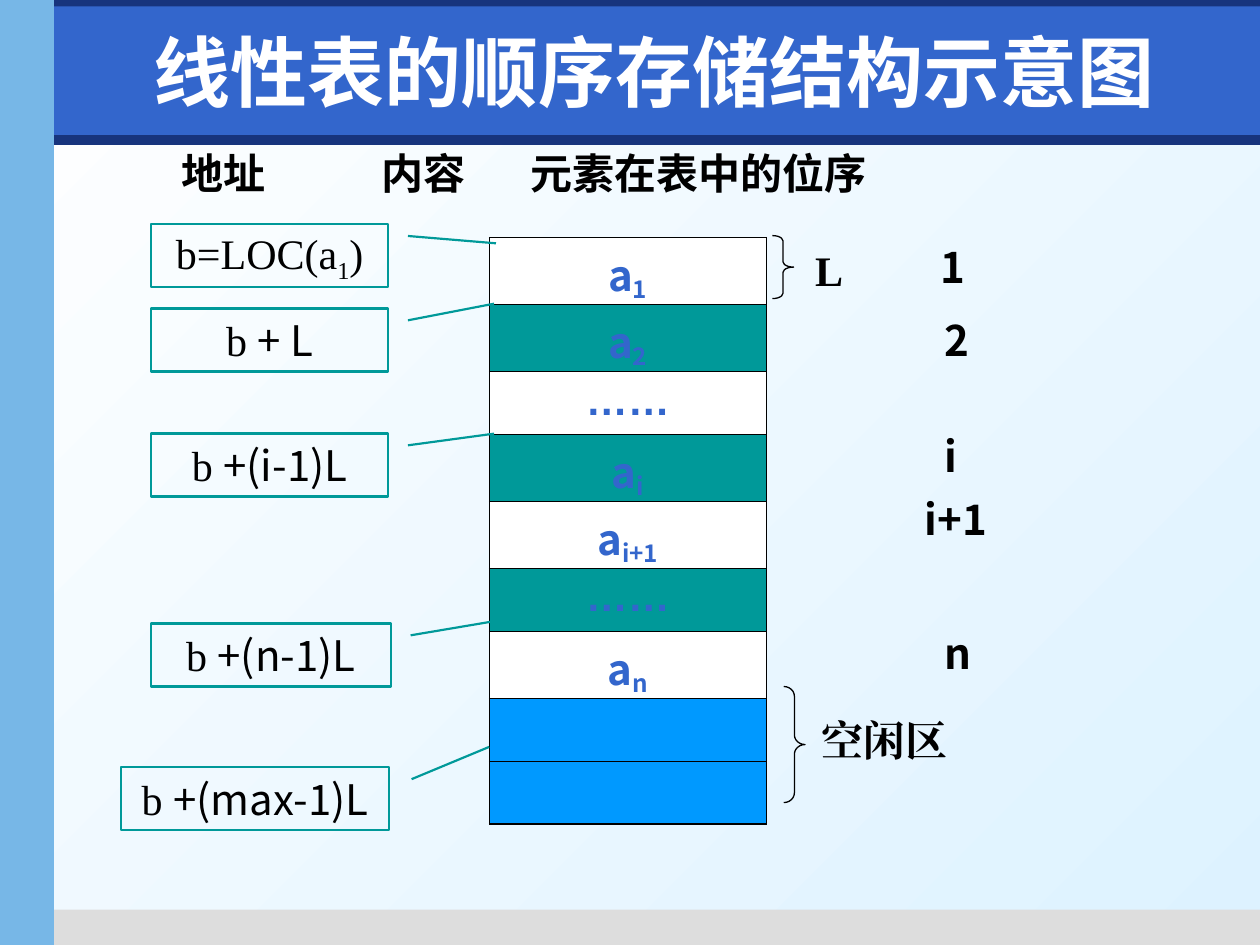
from lxml import etree
from pptx import Presentation
from pptx.dml.color import RGBColor
from pptx.enum.shapes import MSO_SHAPE
from pptx.enum.text import MSO_ANCHOR, PP_ALIGN
from pptx.oxml.ns import qn
from pptx.util import Cm, Pt

RECTANGLE = MSO_SHAPE.RECTANGLE
CALLOUT = MSO_SHAPE.LINE_CALLOUT_1
BRACE = MSO_SHAPE.RIGHT_BRACE
LEFT, CENTER = PP_ALIGN.LEFT, PP_ALIGN.CENTER
TOP, MIDDLE = MSO_ANCHOR.TOP, MSO_ANCHOR.MIDDLE

SANS, SERIF = "Noto Sans CJK SC", "Times New Roman"
BLACK, WHITE, BLUE, TEAL, FREE = "000000", "FFFFFF", "3366CC", "009999", "0099FF"
NAVY, SKY, GREY = "17347D", "77B7E7", "DDDDDD"
LINE_HEIGHT = 1.27

BARS = [
    (0, 2.72, 25.4, 0.2, NAVY),
    (0.89, 18.34, 24.51, 0.71, GREY),
    (0, 0, 25.4, 0.53, NAVY),
    (1.09, 0.13, 24.31, 2.59, BLUE),
    (0, 0, 1.09, 19.05, SKY),
]

# Base text, subscript, fill, row height
CELLS = [
    ("a", "1", WHITE, 1.35),
    ("a", "2", TEAL, 1.35),
    ("……", "", WHITE, 1.27),
    ("a", "i", TEAL, 1.35),
    ("a", "i+1", WHITE, 1.35),
    ("……", "", TEAL, 1.27),
    ("a", "n", WHITE, 1.35),
    ("", "", FREE, 1.27),
    ("", "", FREE, 1.27),
]

# Left, top, width, end of the leader (y, x), runs as (text, font, baseline)
ADDRESSES = [
    (3.05, 4.52, 4.78, (0.304, -0.454),
     [("b=LOC(a", SERIF, 0), ("1", SERIF, -25), (")", SERIF, 0)]),
    (3.05, 6.22, 4.78, (-0.077, -0.446), [("b ", SERIF, 0), ("+ L", SANS, 0)]),
    (3.05, 8.74, 4.78, (0.003, -0.446), [("b ", SERIF, 0), ("+(i-1)L", SANS, 0)]),
    (3.05, 12.57, 4.83, (-0.028, -0.418), [("b ", SERIF, 0), ("+(n-1)L", SANS, 0)]),
    (2.44, 15.47, 5.41, (-0.325, -0.372), [("b ", SERIF, 0), ("+(max-1)L", SANS, 0)]),
]

LABELS = [
    ("L", 16.18, 4.8, 1.07, SERIF, CENTER),
    ("空闲区", 16.31, 14.27, 3.38, SERIF, LEFT),
    ("1", 18.72, 4.75, 1.02, SANS, LEFT),
    ("2", 18.8, 6.22, 1.02, SANS, LEFT),
    ("i", 18.8, 8.56, 1.02, SANS, LEFT),
    ("i+1", 18.39, 9.83, 2.03, SANS, LEFT),
    ("n", 18.8, 12.52, 1.02, SANS, LEFT),
]


def color(value):
    return RGBColor.from_string(value)


def set_typeface(font, name):
    """Use one typeface for both Latin and East Asian text."""
    font.name = name
    latin = font._element.find(qn("a:latin"))
    east_asian = etree.Element(qn("a:ea"), typeface=name)
    latin.addnext(east_asian)


def style(para, name=None, size=24, ink=BLACK, bold=False, align=LEFT):
    para.alignment = align
    para.font.size = Pt(size)
    para.font.bold = bold
    para.font.color.rgb = color(ink)
    if name:
        set_typeface(para.font, name)


def add_run(para, text, baseline=0, name=None):
    span = para.add_run()
    span.text = text
    if name:
        set_typeface(span.font, name)
    if baseline:
        span.font._element.set("baseline", str(baseline * 1000))


def paint_background(page):
    fill = page.background.fill
    fill.gradient()
    fill.gradient_angle = 315
    for stop, value in zip(fill.gradient_stops, (WHITE, "DDF2FF")):
        stop.color.rgb = color(value)


def add_bar(page, left, top, width, height, value):
    bar = page.shapes.add_shape(RECTANGLE, Cm(left), Cm(top), Cm(width), Cm(height))
    bar.shadow.inherit = False
    bar.fill.solid()
    bar.fill.fore_color.rgb = color(value)
    bar.line.fill.background()


def set_title(page, text):
    title = page.shapes.title
    page.shapes._spTree.append(title._element)  # in front of the bars
    title.left, title.top, title.width, title.height = Cm(1.5), Cm(0.33), Cm(23.39), Cm(2.21)
    title.text_frame.text = text
    title.text_frame.vertical_anchor = MIDDLE
    style(title.text_frame.paragraphs[0], "DejaVu Sans", 44, WHITE, True, CENTER)


def add_label(page, text, left, top, width, name, align, tabs=()):
    box = page.shapes.add_textbox(Cm(left), Cm(top), Cm(width), Cm(LINE_HEIGHT))
    box.text_frame.word_wrap = True
    para = box.text_frame.paragraphs[0]
    add_run(para, text)
    if tabs:
        stops = etree.SubElement(para._p.get_or_add_pPr(), qn("a:tabLst"))
        for position in tabs:
            etree.SubElement(stops, qn("a:tab"), pos=str(Cm(position)), algn="l")
    style(para, name, bold=True, align=align)


def set_borders(cell, bottom):
    properties = cell._tc.get_or_add_tcPr()
    for index, side in enumerate(("lnL", "lnR", "lnT", "lnB")):
        width = bottom if side == "lnB" else 0.45
        line = etree.Element(qn("a:" + side), w=str(Pt(width)))
        fill = etree.SubElement(line, qn("a:solidFill"))
        etree.SubElement(fill, qn("a:srgbClr"), val=BLACK)
        properties.insert(index, line)


def add_storage(page):
    total = sum(height for *_, height in CELLS)
    table = page.shapes.add_table(
        len(CELLS), 1, Cm(9.86), Cm(4.78), Cm(5.59), Cm(total)).table
    for index, (base, subscript, value, height) in enumerate(CELLS):
        table.rows[index].height = Cm(height)
        cell = table.cell(index, 0)
        cell.fill.solid()
        cell.fill.fore_color.rgb = color(value)
        cell.margin_top, cell.margin_bottom = Cm(0.12), 0
        cell.vertical_anchor = TOP
        set_borders(cell, 1.08 if index == len(CELLS) - 1 else 0.45)
        if base:
            para = cell.text_frame.paragraphs[0]
            add_run(para, base)
            if subscript:
                add_run(para, subscript, -16)
            style(para, SANS if subscript else "Arial", ink=BLUE, bold=True, align=CENTER)


def add_address(page, left, top, width, leader_end, runs):
    """Add a callout whose leader points right, to its storage cell."""
    callout = page.shapes.add_shape(CALLOUT, Cm(left), Cm(top), Cm(width), Cm(LINE_HEIGHT))
    callout.shadow.inherit = False
    callout._element.spPr.xfrm.set("flipH", "1")
    for index, value in enumerate((0.188, -0.083, *leader_end)):
        callout.adjustments[index] = value
    callout.fill.background()
    callout.line.color.rgb = color(TEAL)
    callout.line.width = Pt(1.25)
    frame = callout.text_frame
    frame.word_wrap = True
    frame.vertical_anchor = MIDDLE
    for text, name, baseline in runs:
        add_run(frame.paragraphs[0], text, baseline, name)
    style(frame.paragraphs[0], align=CENTER)


def add_brace(page, left, top, height, width=0.43):
    brace = page.shapes.add_shape(BRACE, Cm(left), Cm(top), Cm(width), Cm(height))
    brace.shadow.inherit = False
    brace.adjustments[0] = height / 12 / width
    brace.fill.background()
    brace.line.color.rgb = color(BLACK)
    brace.line.width = Pt(0.75)


def main():
    deck = Presentation()
    deck.slide_width, deck.slide_height = Cm(25.4), Cm(19.05)
    page = deck.slides.add_slide(deck.slide_layouts[5])
    paint_background(page)
    for bar in BARS:
        add_bar(page, *bar)
    set_title(page, "线性表的顺序存储结构示意图")
    add_label(page, "\t地址\t内容\t元素在表中的位序", 2.46, 2.84, 21.67, SANS, LEFT,
              tabs=(0.95, 4.98, 7.99))
    add_storage(page)
    for address in ADDRESSES:
        add_address(page, *address)
    add_brace(page, 15.57, 4.75, 1.27)
    add_brace(page, 15.8, 13.84, 2.34)
    for label in LABELS:
        add_label(page, *label)
    deck.save("out.pptx")


if __name__ == "__main__":
    main()
